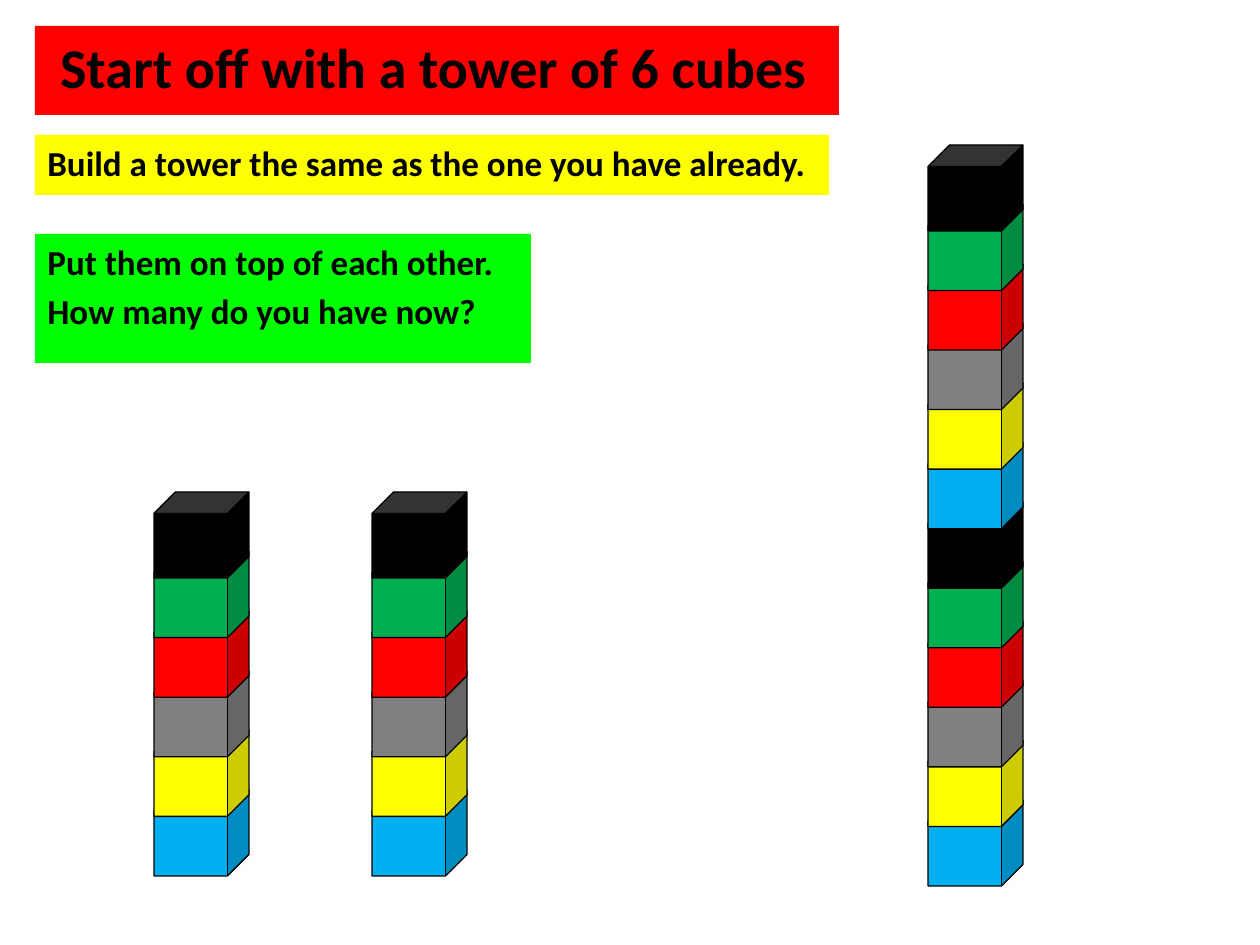
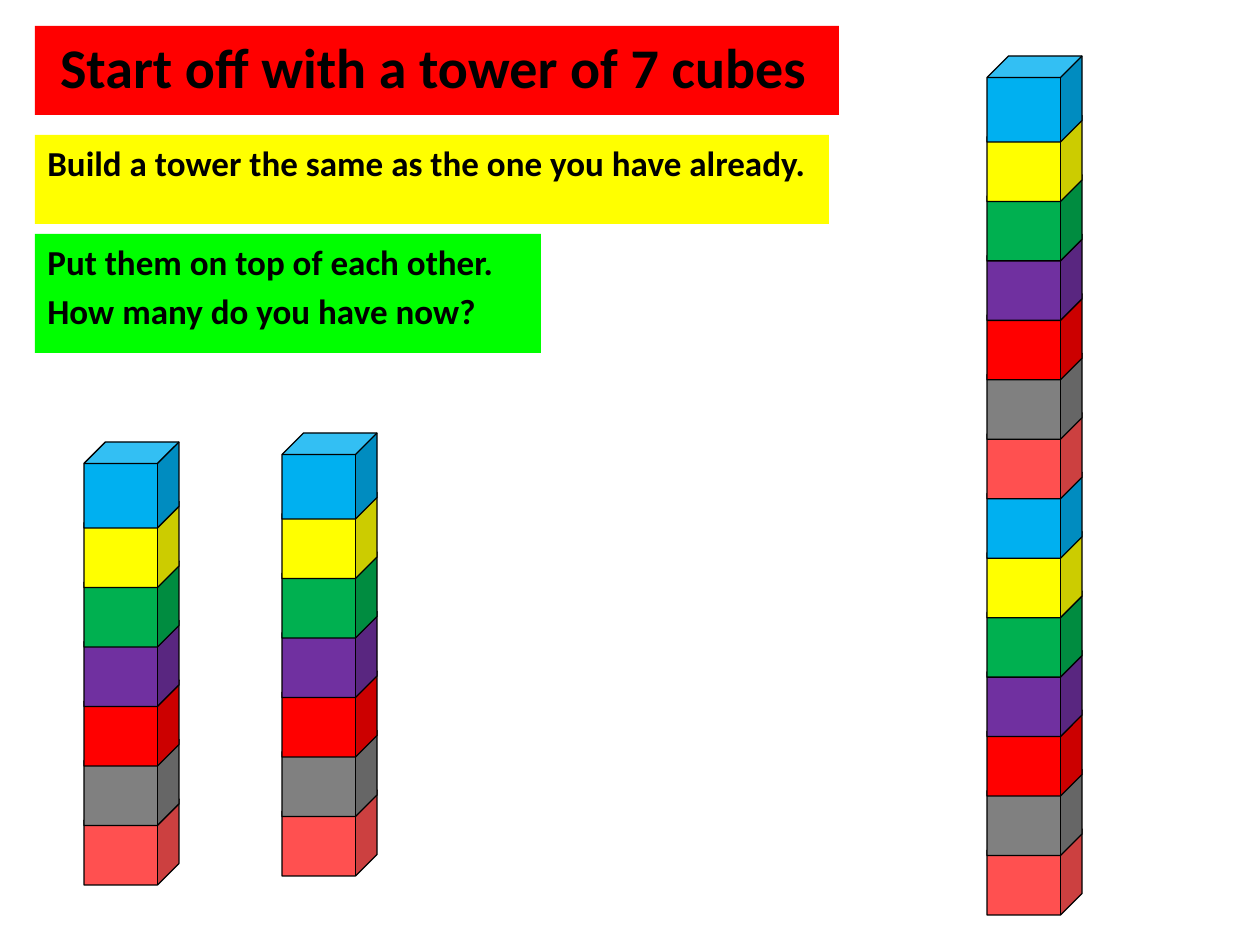
from dataclasses import dataclass

from pptx import Presentation
from pptx.dml.color import RGBColor
from pptx.enum.shapes import MSO_SHAPE
from pptx.enum.text import MSO_ANCHOR, PP_ALIGN
from pptx.util import Emu, Pt


@dataclass(frozen=True)
class Theme:
    font: str = "Calibri"
    title_size: int = 32
    body_size: int = 20
    paragraph_gap: int = 4
    outline: float = 0.75
    black: str = "000000"
    red: str = "FF0000"
    yellow: str = "FFFF00"
    lime: str = "00FF00"
    green: str = "00B050"
    blue: str = "00B0F0"
    grey: str = "808080"
    purple: str = "7030A0"
    coral: str = "FF5050"


THEME = Theme()
PX_PER_INCH = 126
CUBE_WIDTH, CUBE_HEIGHT = 95, 86
HANGING = 47

TITLE_BOX = (35, 26, 804, 89)
SIX_CUBES = [THEME.blue, THEME.yellow, THEME.grey, THEME.red, THEME.green, THEME.black]
SEVEN_CUBES = [THEME.coral, THEME.grey, THEME.red, THEME.purple,
               THEME.green, THEME.yellow, THEME.blue]


def px(length):
    return Emu(round(length * 914400 / PX_PER_INCH))


def add_block(slide, kind, box, fill):
    block = slide.shapes.add_shape(kind, *map(px, box))
    block.shadow.inherit = False
    block.fill.solid()
    block.fill.fore_color.rgb = RGBColor.from_string(fill)
    return block


def add_banner(slide, box, fill, lines, size):
    banner = add_block(slide, MSO_SHAPE.RECTANGLE, box, fill)
    banner.line.fill.background()
    frame = banner.text_frame
    frame.word_wrap = True
    frame.vertical_anchor = MSO_ANCHOR.TOP
    frame.text = "\n".join(lines)
    for index, paragraph in enumerate(frame.paragraphs):
        properties = paragraph._p.get_or_add_pPr()
        properties.set("marL", str(px(HANGING)))
        properties.set("indent", str(-px(HANGING)))
        paragraph.alignment = PP_ALIGN.LEFT
        paragraph.space_before = Pt(THEME.paragraph_gap if index else 0)
        for run in paragraph.runs:
            run.font.name = THEME.font
            run.font.size = Pt(size)
            run.font.bold = True
            run.font.color.rgb = RGBColor.from_string(THEME.black)


def add_tower(slide, box, colours):
    left, top, width, height = box
    step = (height - CUBE_HEIGHT) / (len(colours) - 1)
    lowest = top + height - CUBE_HEIGHT
    for level, colour in enumerate(colours):
        cube_box = (left, lowest - level * step, width, CUBE_HEIGHT)
        cube = add_block(slide, MSO_SHAPE.CUBE, cube_box, colour)
        cube.adjustments[0] = 0.25
        cube.line.color.rgb = RGBColor.from_string(THEME.black)
        cube.line.width = Pt(THEME.outline)


def add_doubling_slide(deck, colours, build_box, stack_box, single_boxes, double_box):
    slide = deck.slides.add_slide(deck.slide_layouts[6])
    add_banner(slide, TITLE_BOX, THEME.red,
               [f" Start off with a tower of {len(colours)} cubes"], THEME.title_size)
    add_banner(slide, build_box, THEME.yellow,
               ["Build a tower the same as the one you have already."], THEME.body_size)
    add_banner(slide, stack_box, THEME.lime,
               ["Put them on top of each other.", "How many do you have now?"],
               THEME.body_size)
    for single_box in single_boxes:
        add_tower(slide, single_box, colours)
    add_tower(slide, double_box, colours * 2)


def main():
    deck = Presentation()
    deck.slide_width, deck.slide_height = px(1260), px(945)
    add_doubling_slide(
        deck, SIX_CUBES,
        build_box=(35, 135, 794, 60),
        stack_box=(35, 234, 496, 129),
        single_boxes=[(left, 492, CUBE_WIDTH, 384) for left in (154, 372)],
        double_box=(928, 145, CUBE_WIDTH, 741))
    add_doubling_slide(
        deck, SEVEN_CUBES,
        build_box=(35, 135, 794, 89),
        stack_box=(35, 234, 506, 119),
        single_boxes=[(84, 442, CUBE_WIDTH, 443), (282, 433, CUBE_WIDTH, 443)],
        double_box=(987, 56, CUBE_WIDTH, 859))
    deck.save("out.pptx")


if __name__ == "__main__":
    main()
